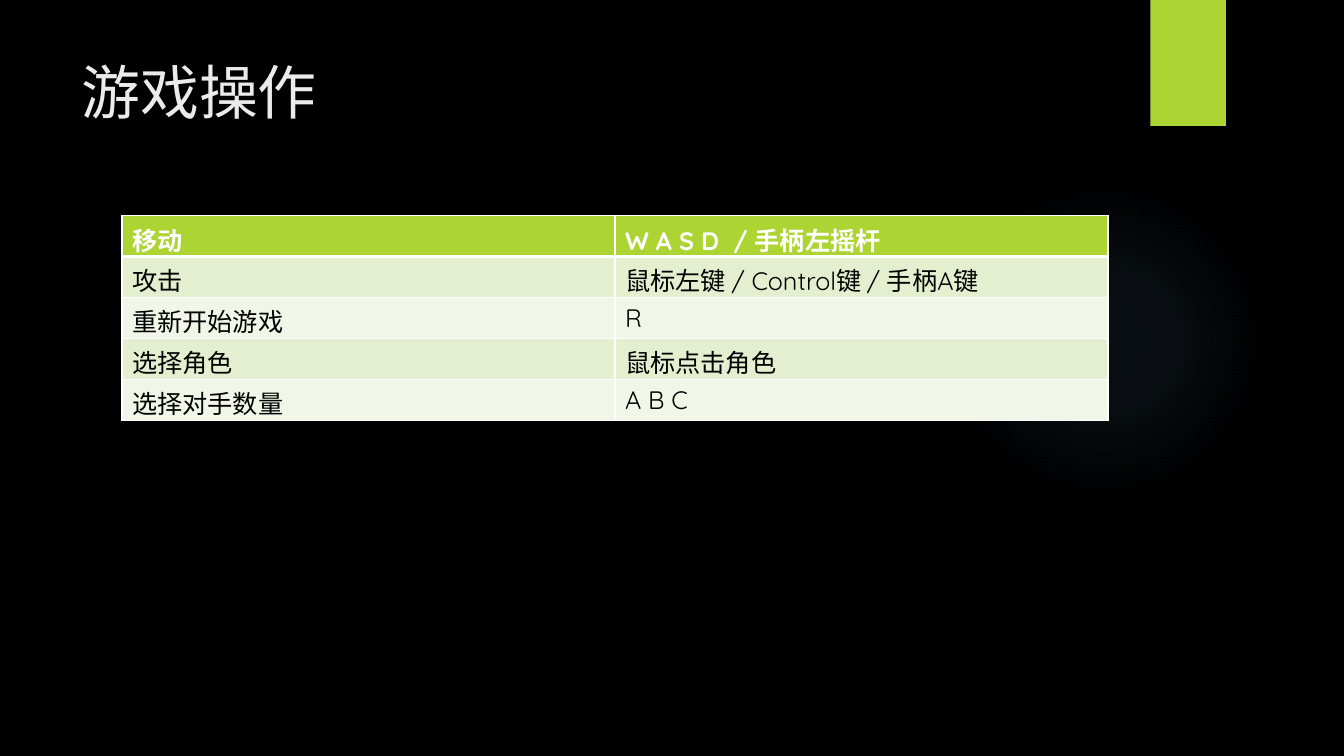
from dataclasses import dataclass

from pptx import Presentation
from pptx.dml.color import RGBColor
from pptx.enum import shapes, text
from pptx.oxml import parse_xml
from pptx.oxml.ns import nsdecls
from pptx.util import Inches, Pt


@dataclass(frozen=True)
class Theme:
    font: str = "Quicksand"
    title_size: int = 42
    table_size: int = 18
    background: str = "000000"
    accent: str = "ACD433"
    glow: str = "7AC4F0"
    title: str = "EBEBEB"
    border: str = "FFFFFF"
    header_text: str = "FFFFFF"
    body_text: str = "000000"
    bands: tuple = ("E3EFCE", "F1F7E8")


THEME = Theme()
GLOW_STOPS = ((0, 7), (36, 6), (69, 0))
CONTROLS = (
    ("移动", "W A S D  / 手柄左摇杆"),
    ("攻击", "鼠标左键 / Control键 / 手柄A键"),
    ("重新开始游戏", "R"),
    ("选择角色", "鼠标点击角色"),
    ("选择对手数量", "A B C"),
)


def paint(fill, color):
    fill.solid()
    fill.fore_color.rgb = RGBColor.from_string(color)


def style_text(tf, size, color, bold=False):
    for p in tf.paragraphs:
        for r in p.runs:
            r.font.name = THEME.font
            r.font.size = Pt(size)
            r.font.bold = bold
            r.font.color.rgb = RGBColor.from_string(color)


def add_plain_shape(s, kind, left, top, width, height):
    sp = s.shapes.add_shape(
        kind, Inches(left), Inches(top), Inches(width), Inches(height))
    sp.shadow.inherit = False
    sp.line.fill.background()
    return sp


def add_glow(s, left, top, size):
    sp = add_plain_shape(s, shapes.MSO_SHAPE.OVAL, left, top, size, size)
    stops = "".join(
        f'<a:gs pos="{pos * 1000}"><a:srgbClr val="{THEME.glow}">'
        f'<a:alpha val="{alpha * 1000}"/></a:srgbClr></a:gs>'
        for pos, alpha in GLOW_STOPS)
    sp.fill.gradient()
    grad = sp._element.spPr.find(
        "{http://schemas.openxmlformats.org/drawingml/2006/main}gradFill")
    grad.getparent().replace(grad, parse_xml(
        f'<a:gradFill {nsdecls("a")}><a:gsLst>{stops}</a:gsLst>'
        '<a:path path="circle"><a:fillToRect l="50000" t="50000" '
        'r="50000" b="50000"/></a:path></a:gradFill>'))


def add_ribbon(s, left, top, width, height):
    sp = add_plain_shape(
        s, shapes.MSO_SHAPE.RECTANGLE, left, top, width, height)
    paint(sp.fill, THEME.accent)


def add_title(s, title, left, top, width, height):
    sp = s.shapes.add_textbox(
        Inches(left), Inches(top), Inches(width), Inches(height))
    tf = sp.text_frame
    tf.word_wrap = True
    tf.vertical_anchor = text.MSO_ANCHOR.TOP
    tf.text = title
    style_text(tf, THEME.title_size, THEME.title)


def add_borders(cell, bottom, top):
    tcPr = cell._tc.get_or_add_tcPr()
    for side, width in (("L", 1), ("R", 1), ("T", top), ("B", bottom)):
        tcPr.append(parse_xml(
            f'<a:ln{side} {nsdecls("a")} w="{Pt(width)}"><a:solidFill>'
            f'<a:srgbClr val="{THEME.border}"/></a:solidFill></a:ln{side}>'))


def add_controls_table(s, rows, left, top, width, height):
    table = s.shapes.add_table(
        len(rows), len(rows[0]),
        Inches(left), Inches(top), Inches(width), Inches(height)).table
    for i, row in enumerate(rows):
        header = i == 0
        fill = THEME.accent if header else THEME.bands[(i - 1) % 2]
        color = THEME.header_text if header else THEME.body_text
        for j, label in enumerate(row):
            cell = table.cell(i, j)
            cell.text_frame.text = label
            style_text(cell.text_frame, THEME.table_size, color, header)
            add_borders(cell, bottom=3 if header else 1, top=3 if i == 1 else 1)
            paint(cell.fill, fill)


def build_controls_slide(prs):
    s = prs.slides.add_slide(prs.slide_layouts[6])
    paint(s.background.fill, THEME.background)
    add_glow(s, 9.41, 1.83, 3.08)
    add_ribbon(s, 11.41, 0, 0.75, 1.25)
    add_title(s, "游戏操作", 0.71, 0.5, 10.29, 1.53)
    add_controls_table(s, CONTROLS, 1.21, 2.14, 9.78, 2.03)


def main():
    prs = Presentation()
    prs.slide_width = Inches(13.33)
    prs.slide_height = Inches(7.5)
    build_controls_slide(prs)
    prs.save("out.pptx")


if __name__ == "__main__":
    main()
